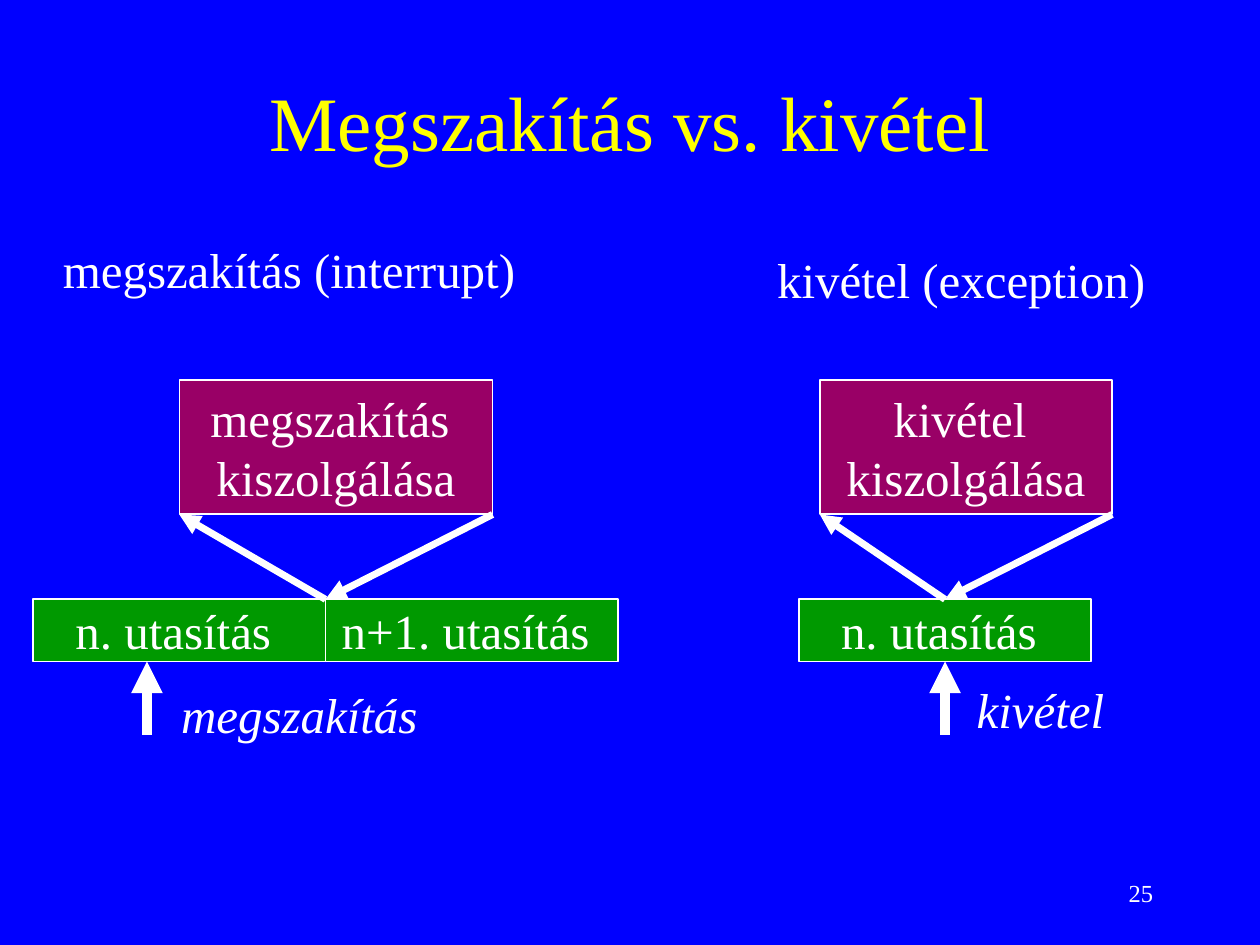
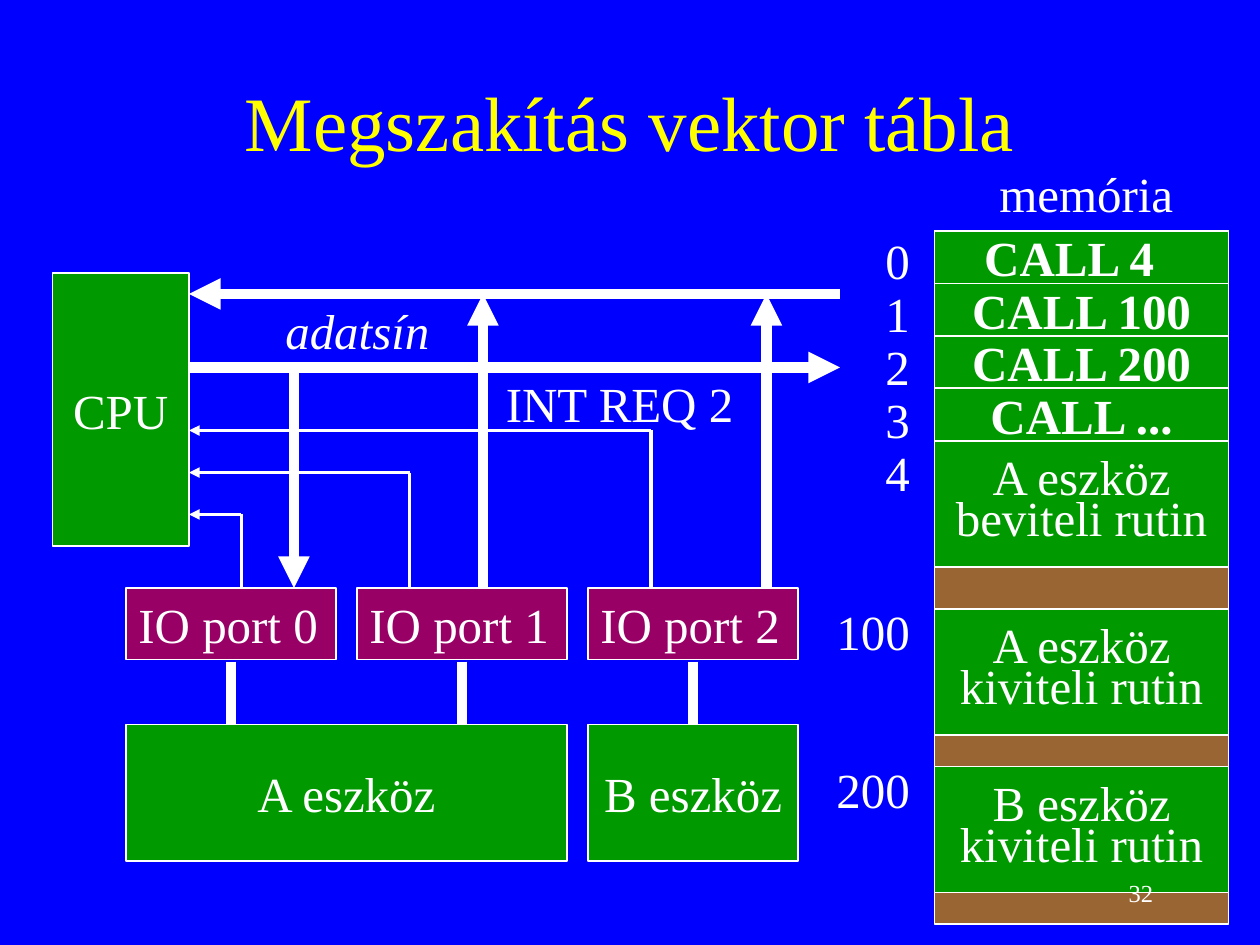
from lxml import etree
from pptx import Presentation
from pptx.dml.color import RGBColor
from pptx.enum.shapes import MSO_CONNECTOR, MSO_SHAPE
from pptx.enum.text import MSO_ANCHOR, PP_ALIGN
from pptx.oxml.ns import qn
from pptx.util import Pt

RECTANGLE = MSO_SHAPE.RECTANGLE
STRAIGHT = MSO_CONNECTOR.STRAIGHT
LEFT, CENTER, RIGHT = PP_ALIGN.LEFT, PP_ALIGN.CENTER, PP_ALIGN.RIGHT
TOP, MIDDLE = MSO_ANCHOR.TOP, MSO_ANCHOR.MIDDLE

FONT = "Times New Roman"
BODY_SIZE = 28
LABEL_HEIGHT = 41
COLORS = {
    "background": "0000FF",
    "title": "FFFF00",
    "text": "FFFFFF",
    "green": "009900",
    "purple": "990066",
    "brown": "996633",
}


def rgb(name):
    return RGBColor.from_string(COLORS[name])


def write(frame, text, size=BODY_SIZE, color="text", align=LEFT, anchor=TOP,
          bold=False, italic=False, spacing=None, wrap=False):
    frame.text = text
    frame.word_wrap = wrap
    frame.vertical_anchor = anchor
    frame.margin_left = frame.margin_right = Pt(7.2)
    frame.margin_top = frame.margin_bottom = Pt(3.6)
    for paragraph in frame.paragraphs:
        paragraph.alignment = align
        if spacing:
            paragraph.line_spacing = spacing
        for run in paragraph.runs:
            font = run.font
            font.name, font.size = FONT, Pt(size)
            font.bold, font.italic = bold, italic
            font.color.rgb = rgb(color)


def add_label(slide, text, x, y, width, height=LABEL_HEIGHT, **style):
    label = slide.shapes.add_textbox(Pt(x), Pt(y), Pt(width), Pt(height))
    write(label.text_frame, text, **style)
    return label


def add_box(slide, text, x, y, width, height, fill="green",
            align=CENTER, anchor=MIDDLE, **style):
    box = slide.shapes.add_shape(RECTANGLE, Pt(x), Pt(y), Pt(width), Pt(height))
    box.shadow.inherit = False
    box.fill.solid()
    box.fill.fore_color.rgb = rgb(fill)
    box.line.color.rgb = rgb("text")
    box.line.width = Pt(1)
    if text:
        write(box.text_frame, text, align=align, anchor=anchor, **style)
    return box


def add_line(slide, start, end, width=6, arrow=True):
    points = [Pt(value) for value in (*start, *end)]
    connector = slide.shapes.add_connector(STRAIGHT, *points)
    connector.line.color.rgb = rgb("text")
    connector.line.width = Pt(width)
    if arrow:
        outline = connector.line._get_or_add_ln()
        etree.SubElement(outline, qn("a:tailEnd"), type="triangle")
    etree.SubElement(connector._element.spPr, qn("a:effectLst"))


def add_titled_slide(prs, title_text):
    slide = prs.slides.add_slide(prs.slide_layouts[5])
    title = slide.shapes.title
    title.left, title.top, title.width, title.height = Pt(54), Pt(24), Pt(612), Pt(90)
    write(title.text_frame, title_text, size=44, color="title",
          align=CENTER, anchor=MIDDLE, wrap=True)
    return slide


def add_page_number(slide, number):
    add_label(slide, number, 516, 492, 150, 36, size=14,
              align=RIGHT, anchor=MIDDLE, wrap=True)


def add_event_flow(slide, handler_text, handler_x, handler_width,
                   instructions, first_x, return_x, trigger_x):
    handler_top, handler_height = 217, 77
    handler_bottom = handler_top + handler_height
    instruction_top, instruction_width, instruction_height = 342.5, 167, 35.5
    for index, instruction in enumerate(instructions):
        add_box(slide, instruction, first_x + index * instruction_width,
                instruction_top, instruction_width, instruction_height)
    add_box(slide, handler_text, handler_x, handler_top,
            handler_width, handler_height, fill="purple")
    branch = (return_x, instruction_top)
    add_line(slide, branch, (handler_x, handler_bottom), width=4)
    add_line(slide, (handler_x + handler_width, handler_bottom), branch, width=4)
    add_line(slide, (trigger_x, 420), (trigger_x, 378))


def build_comparison(prs):
    slide = add_titled_slide(prs, "Megszakítás vs. kivétel")
    add_label(slide, "megszakítás (interrupt)", 28.8, 133.2, 273)
    add_label(slide, "kivétel (exception)", 437, 139, 225)
    add_event_flow(slide, "megszakítás \nkiszolgálása", 102.5, 179,
                   ["n. utasítás ", "n+1. utasítás "], 19, 186, 84)
    add_event_flow(slide, "kivétel \nkiszolgálása", 468.5, 167,
                   ["n. utasítás "], 456.5, 540, 540)
    add_label(slide, "megszakítás", 96, 387.5, 150, align=CENTER, italic=True)
    add_label(slide, "kivétel", 551, 385, 88, italic=True)
    add_page_number(slide, "25")


def add_memory(slide):
    x, top, width, call_height = 534, 132, 168, 30
    add_box(slide, "", x, top, width, 396, fill="brown")
    calls = ["CALL 4", "CALL 100", "CALL 200", "CALL ..."]
    for index, call in enumerate(calls):
        cell = add_box(slide, call, x, top + index * call_height,
                       width, call_height, bold=True)
        if index == 0:
            cell.text_frame.margin_right = Pt(21.2)
    routines = [(252, "A eszköz\nbeviteli rutin"),
                (348, "A eszköz\nkiviteli rutin"),
                (438, "B eszköz\nkiviteli rutin")]
    for y, routine in routines:
        add_box(slide, routine, x, y, width, 72, spacing=0.7)
    addresses = add_label(slide, "0\n1\n2\n3\n4\n100\n200", 462, top, 65, 340,
                          align=RIGHT, spacing=0.9, wrap=True)
    for paragraph in addresses.text_frame.paragraphs[-2:]:
        paragraph.space_before = Pt(60.5)
    add_label(slide, "memória", 564, 90, 114)


def add_ports_and_devices(slide):
    first_x, pitch, port_width, port_top = 72, 132, 120, 336
    device_top, device_height = 414, 78
    for port in range(3):
        x = first_x + port * pitch
        add_box(slide, f"IO port {port}", x, port_top, port_width, LABEL_HEIGHT,
                fill="purple", align=LEFT, anchor=TOP, wrap=True)
        middle = x + port_width / 2
        add_line(slide, (middle, 378), (middle, device_top), arrow=False)
    add_box(slide, "A eszköz", first_x, device_top, pitch + port_width, device_height)
    add_box(slide, "B eszköz", first_x + 2 * pitch, device_top,
            port_width, device_height)


def add_buses(slide):
    cpu_right, bus_right, port_top = 108, 480, 336
    to_cpu_y, from_cpu_y = 168, 210
    add_box(slide, "CPU", 30, 156, 78, 156)
    add_line(slide, (bus_right, to_cpu_y), (cpu_right, to_cpu_y))
    add_line(slide, (cpu_right, from_cpu_y), (bus_right, from_cpu_y))
    for input_x in (276, 438):
        add_line(slide, (input_x, port_top), (input_x, to_cpu_y))
    add_line(slide, (168, from_cpu_y), (168, port_top))
    for port, request_x in enumerate((138, 234, 372)):
        request_y = 294 - 24 * port
        add_line(slide, (request_x, port_top), (request_x, request_y),
                 width=2, arrow=False)
        add_line(slide, (request_x, request_y), (cpu_right, request_y), width=2)
    add_label(slide, "INT REQ 2", 282, 210, 145)
    add_label(slide, "adatsín", 156, 168, 97, italic=True)


def build_vector_table(prs):
    slide = add_titled_slide(prs, "Megszakítás vektor tábla")
    add_memory(slide)
    add_ports_and_devices(slide)
    add_buses(slide)
    add_page_number(slide, "32")


def main():
    prs = Presentation()
    prs.slide_width, prs.slide_height = Pt(720), Pt(540)
    background = prs.slide_master.background.fill
    background.solid()
    background.fore_color.rgb = rgb("background")
    build_comparison(prs)
    build_vector_table(prs)
    prs.save("out.pptx")


if __name__ == "__main__":
    main()
